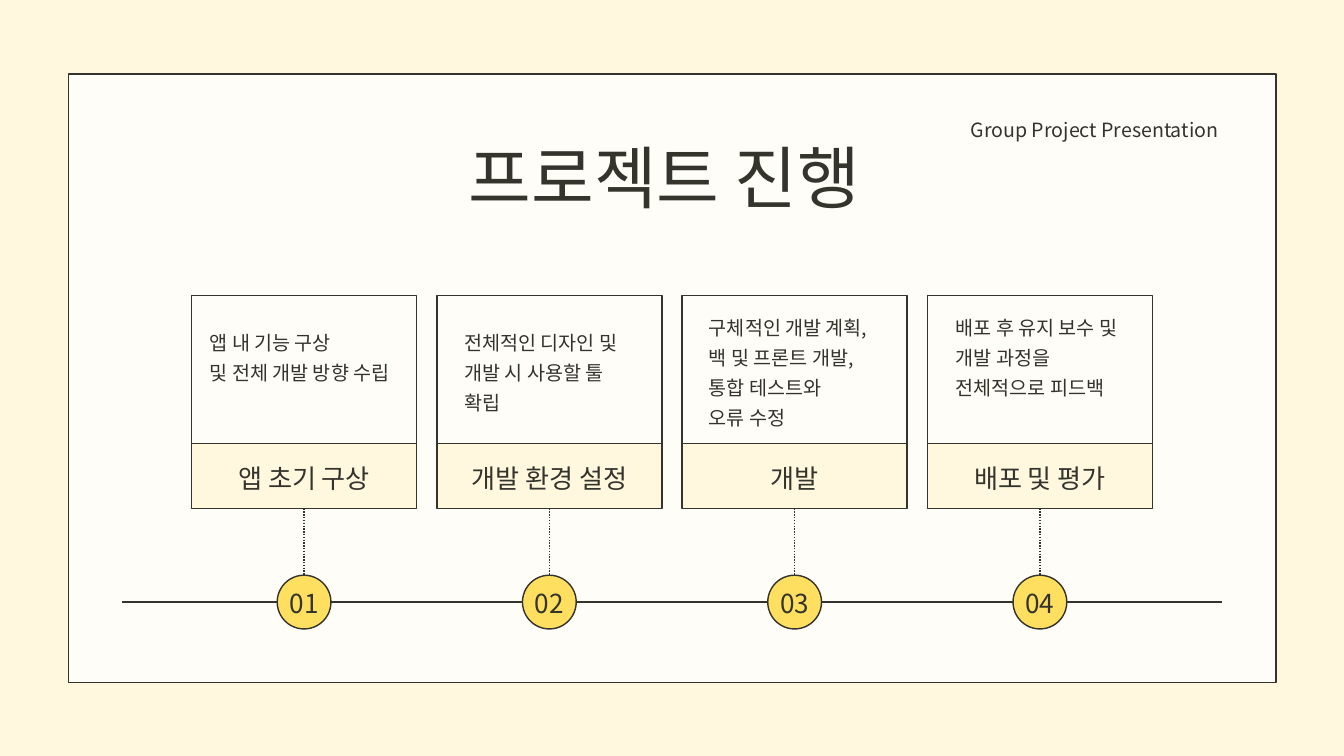
from pptx import Presentation
from pptx.dml.color import RGBColor
from pptx.enum import dml, shapes, text
from pptx.oxml.ns import qn
from pptx.util import Inches, Pt
from lxml import etree

FONT = "Noto Sans CJK KR"
INK, CREAM, PAPER, GOLD = "34332C", "FFF8DE", "FFFDF8", "FFDF60"
ALIGN = text.PP_ALIGN
RECT, OVAL = shapes.MSO_SHAPE.RECTANGLE, shapes.MSO_SHAPE.OVAL

# number, label, body lines, body left inset, body top inset
STEPS = [
    ("01", "앱 초기 구상", ["앱 내 기능 구상 ", "및 전체 개발 방향 수립"], 0.27, 0.43),
    ("02", "개발 환경 설정", ["전체적인 디자인 및", "개발 시 사용할 툴 ", "확립"], 0.41, 0.43),
    ("03", "개발", ["구체적인 개발 계획, ", "백 및 프론트 개발,", "통합 테스트와 ", "오류 수정"], 0.4, 0.21),
    ("04", "배포 및 평가", ["배포 후 유지 보수 및", "개발 과정을 ", "전체적으로 피드백"], 0.42, 0.21),
]


def color(code):
    return RGBColor.from_string(code)


def write(shape, lines, size, lead, align, inset=(0, 0, 0, 0), anchor=text.MSO_ANCHOR.TOP):
    """Fill a shape with lines; inset is left, top, right, bottom."""
    frame = shape.text_frame
    frame.word_wrap = True
    frame.auto_size = text.MSO_AUTO_SIZE.NONE
    frame.vertical_anchor = anchor
    (frame.margin_left, frame.margin_top,
     frame.margin_right, frame.margin_bottom) = map(Inches, inset)
    for i, line in enumerate(lines):
        para = frame.add_paragraph() if i else frame.paragraphs[0]
        para.alignment = align
        para.line_spacing = Pt(lead)
        para.space_before = Pt(0)
        run = para.add_run()
        run.text = line
        run.font.size = Pt(size)
        run.font.name = FONT
        run.font.color.rgb = color(INK)
        east = etree.SubElement(run.font._element, qn("a:ea"))
        east.set("typeface", FONT)


def add_box(slide, kind, box, fill):
    shape = slide.shapes.add_shape(kind, *map(Inches, box))
    shape.shadow.inherit = False
    shape.fill.solid()
    shape.fill.fore_color.rgb = color(fill)
    shape.line.color.rgb = color(INK)
    shape.line.width = Pt(1.5)
    return shape


def add_line(slide, start, end):
    line = slide.shapes.add_connector(
        shapes.MSO_CONNECTOR.STRAIGHT, *map(Inches, start + end))
    line.line.color.rgb = color(INK)
    line.line.width = Pt(1.5)
    etree.SubElement(line._element.spPr, qn("a:effectLst"))
    return line


def add_header(slide, left, top, width):
    title = slide.shapes.title
    title.left, title.top = Inches(left + 5.2), Inches(top + 0.82)
    title.width, title.height = Inches(7.56), Inches(1.31)
    write(title, ["프로젝트 진행 "], 73, 94.2, ALIGN.CENTER)
    note = slide.shapes.add_textbox(
        Inches(left + width - 5.28), Inches(top + 0.56), Inches(4.42), Inches(0.42))
    write(note, ["Group Project Presentation"], 21, 32.1, ALIGN.RIGHT)


def add_step(slide, step, left, top, width):
    """Card, label and numbered marker joined by a dotted line."""
    number, name, lines, pad, drop = step
    card = add_box(slide, RECT, (left, top, width, 2.24), PAPER)
    write(card, lines, 21, 32.1, ALIGN.JUSTIFY, (pad, drop, 0.15, 0))
    label = add_box(slide, RECT, (left, top + 2.2, width, 0.97), CREAM)
    write(label, [name], 28, 42.8, ALIGN.CENTER, (0, 0.15, 0, 0))
    mid, size = left + width / 2, 0.8
    mark = add_box(slide, OVAL, (mid - size / 2, top + 4.16, size, size), GOLD)
    write(mark, [number], 28, 42.8, ALIGN.CENTER, (0, 0, 0, 0.09), text.MSO_ANCHOR.MIDDLE)
    mark.text_frame.word_wrap = False
    link = add_line(slide, (mid, top + 3.17), (mid, top + 4.16))
    link.begin_connect(label, 2)
    link.end_connect(mark, 0)
    link.line.dash_style = dml.MSO_LINE.ROUND_DOT


def add_timeline(slide, left, top, width):
    add_line(slide, (1.82, top + 4.56), (18.18, top + 4.56))
    gap = 0.3
    wide = (width - gap * (len(STEPS) - 1)) / len(STEPS)
    for i, step in enumerate(STEPS):
        add_step(slide, step, left + i * (wide + gap), top, wide)


def main():
    deck = Presentation()
    deck.slide_width, deck.slide_height = Inches(20), Inches(11.25)
    slide = deck.slides.add_slide(deck.slide_layouts[5])
    slide.background.fill.solid()
    slide.background.fill.fore_color.rgb = color(CREAM)
    panel = add_box(slide, RECT, (1.02, 1.1, 17.97, 9.06), PAPER)
    slide.shapes.title._element.addprevious(panel._element)
    add_header(slide, 1.02, 1.1, 17.97)
    add_timeline(slide, 2.85, 4.4, 14.3)
    deck.save("out.pptx")


if __name__ == "__main__":
    main()
